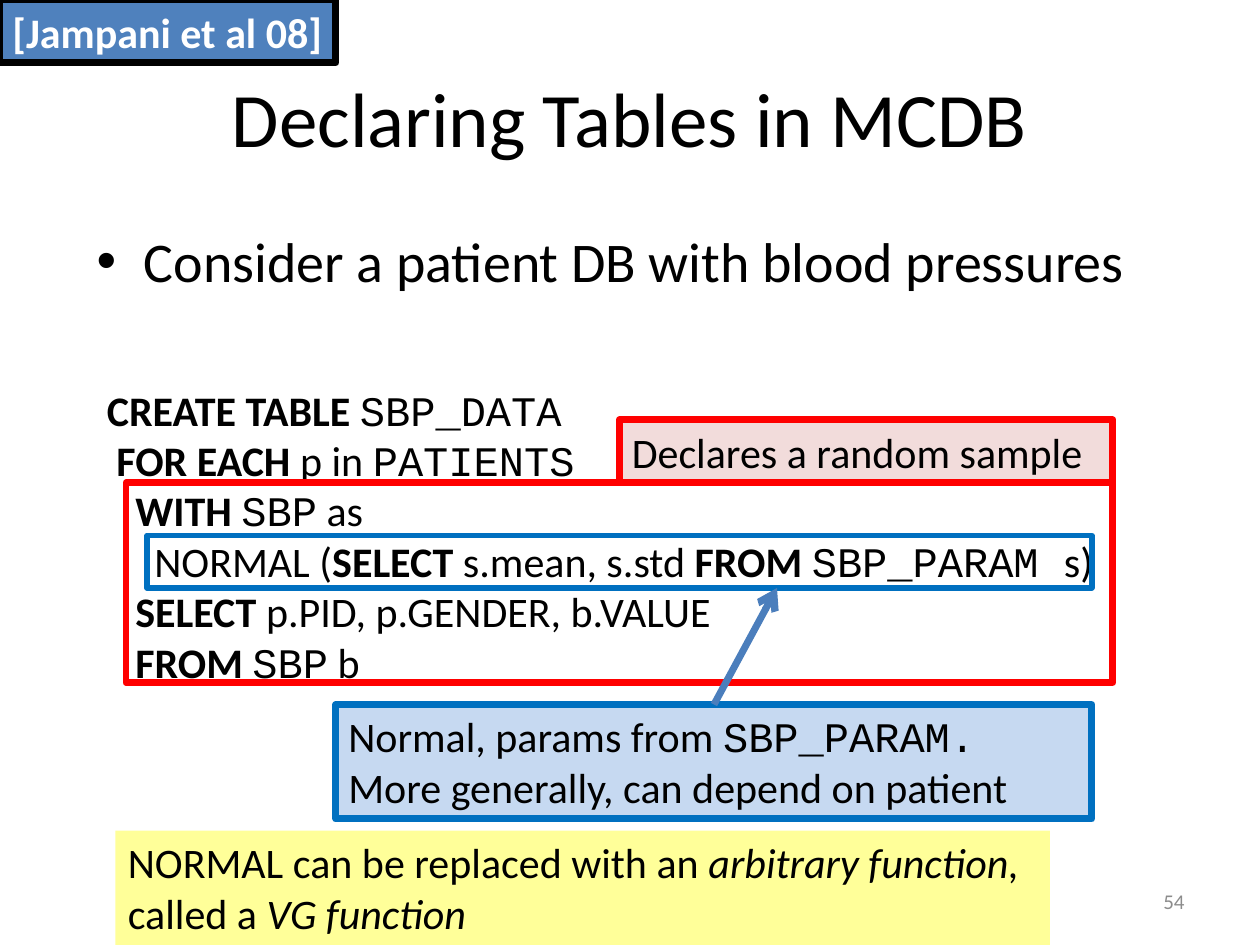
"""Build the slide on declaring tables in MCDB."""
from dataclasses import dataclass

from lxml.etree import SubElement
from pptx import Presentation
from pptx.dml.color import RGBColor as Rgb
from pptx.enum.shapes import MSO_CONNECTOR as Link, MSO_SHAPE as Shape
from pptx.enum.text import MSO_ANCHOR as Anchor, MSO_AUTO_SIZE as Fit, PP_ALIGN as Align
from pptx.oxml.ns import qn
from pptx.util import Inches, Pt


@dataclass(frozen=True)
class Theme:
    sans: str = "Calibri"
    mono: str = "Courier New"
    title: int = 44
    bullet: int = 32
    text: int = 24
    small: int = 12
    thick: int = 4
    thin: int = 3
    black: str = "000000"
    white: str = "FFFFFF"
    gray: str = "8C8C8C"
    citation: str = "4F81BD"
    red: str = "FF0000"
    pink: str = "F2DCDB"
    blue: str = "0070C0"
    pale_blue: str = "C6D9F1"
    arrow: str = "4B7EBC"
    yellow: str = "FFFF99"


def assign(target, values):
    for name, value in values.items():
        setattr(target, name, value)


def bold(text):
    return text, {"bold": True}


def italic(text):
    return text, {"italic": True}


def mono(text):
    return text, {"name": Theme.mono}


class SlideBuilder:
    COLUMNS, ROWS = 120, 90

    def __init__(self, deck, theme):
        self.theme = theme
        self.slide = deck.slides.add_slide(deck.slide_layouts[1])
        self.column = deck.slide_width / self.COLUMNS
        self.row = deck.slide_height / self.ROWS

    def place(self, column, row, width=0, height=0):
        return [round(share * unit) for share, unit in
                zip((column, row, width, height), (self.column, self.row) * 2)]

    def fill_text(self, holder, lines, size, color=Theme.black, align=Align.LEFT,
                  **frame_format):
        frame = holder.text_frame
        assign(frame, {"word_wrap": True, **frame_format})
        for index, line in enumerate(lines):
            paragraph = frame.add_paragraph() if index else frame.paragraphs[0]
            assign(paragraph, {"alignment": align, "space_before": Pt(0)})
            for part in line:
                words, style = part if isinstance(part, tuple) else (part, {})
                run = paragraph.add_run()
                run.text = words
                assign(run.font, {"name": self.theme.sans, "size": Pt(size), **style})
                run.font.color.rgb = Rgb.from_string(color)

    def placeholder(self, index, spot, lines, size, **text_format):
        holder = self.slide.placeholders[index]
        assign(holder, dict(zip(("left", "top", "width", "height"), self.place(*spot))))
        self.fill_text(holder, lines, size, **text_format)

    def text(self, spot, lines, size, **text_format):
        holder = self.slide.shapes.add_textbox(*self.place(*spot))
        self.fill_text(holder, lines, size, **text_format)

    def box(self, spot, lines=(), fill=None, border=None, weight=Theme.thick, **text_format):
        box = self.slide.shapes.add_shape(Shape.RECTANGLE, *self.place(*spot))
        box.shadow.inherit = False
        if fill:
            box.fill.solid()
            box.fill.fore_color.rgb = Rgb.from_string(fill)
        else:
            box.fill.background()
        if border:
            box.line.color.rgb = Rgb.from_string(border)
            box.line.width = Pt(weight)
        else:
            box.line.fill.background()
        if lines:
            self.fill_text(box, lines, self.theme.text, auto_size=Fit.SHAPE_TO_FIT_TEXT,
                           vertical_anchor=Anchor.TOP, **text_format)
        return box

    def arrow_from_top(self, source, column, row):
        end = self.place(column, row)[:2]
        arrow = self.slide.shapes.add_connector(Link.STRAIGHT, source.left, source.top, *end)
        arrow.begin_connect(source, 0)
        arrow.line.color.rgb = Rgb.from_string(self.theme.arrow)
        arrow.line.width = Pt(self.theme.thick)
        properties = arrow._element.spPr
        SubElement(properties.find(qn("a:ln")), qn("a:tailEnd"), type="arrow")
        SubElement(properties, qn("a:effectLst"))


def main():
    deck = Presentation()
    assign(deck, {"slide_width": Inches(10), "slide_height": Inches(7.5)})
    theme = Theme()
    page = SlideBuilder(deck, theme)
    page.placeholder(0, (6, 3.6, 108, 15), [["Declaring Tables in MCDB"]], theme.title,
                     align=Align.CENTER, vertical_anchor=Anchor.MIDDLE)
    page.placeholder(1, (8, 21, 108, 59.4),
                     [["Consider a patient DB with blood pressures"]], theme.bullet)
    page.box((0, 0, 32, 6), [[bold("[Jampani et al 08]")]], theme.citation, theme.black,
             color=theme.white)
    query = [
        [bold("CREATE TABLE "), mono("SBP_DATA")],
        [" ", bold("FOR EACH"), " p in ", mono("PATIENTS")],
        ["   ", bold("WITH "), mono("SBP"), " as"],
        ["     NORMAL (", bold("SELECT "), "s.mean, s.std ", bold("FROM "),
         mono("SBP_PARAM "), "s)"],
        ["   ", bold("SELECT"), " p.PID, p.GENDER, b.VALUE"],
        ["   ", bold("FROM "), mono("SBP"), " b"],
    ]
    page.text((9, 36, 105, 30.2), query, theme.text, auto_size=Fit.SHAPE_TO_FIT_TEXT)
    page.box((59, 40, 47, 6), [["Declares a random sample"]], theme.pink, theme.red)
    page.box((12, 46, 94, 19), border=theme.red)
    page.box((14, 51, 90, 5), border=theme.blue, weight=theme.thin)
    parameters = page.box((32, 67.1, 72, 10.9),
                          [["Normal, params from ", mono("SBP_PARAM.")],
                           ["More generally, can depend on patient"]],
                          theme.pale_blue, theme.blue)
    page.arrow_from_top(parameters, 74, 56)
    page.box((11, 79.1, 89, 10.9),
             [["NORMAL can be replaced with an ", italic("arbitrary function, "),
               "called a", italic(" VG function")]], theme.yellow)
    page.text((86, 83.4, 28, 4.8), [["54"]], theme.small, color=theme.gray,
              align=Align.RIGHT, vertical_anchor=Anchor.MIDDLE)
    deck.save("out.pptx")


if __name__ == "__main__":
    main()
